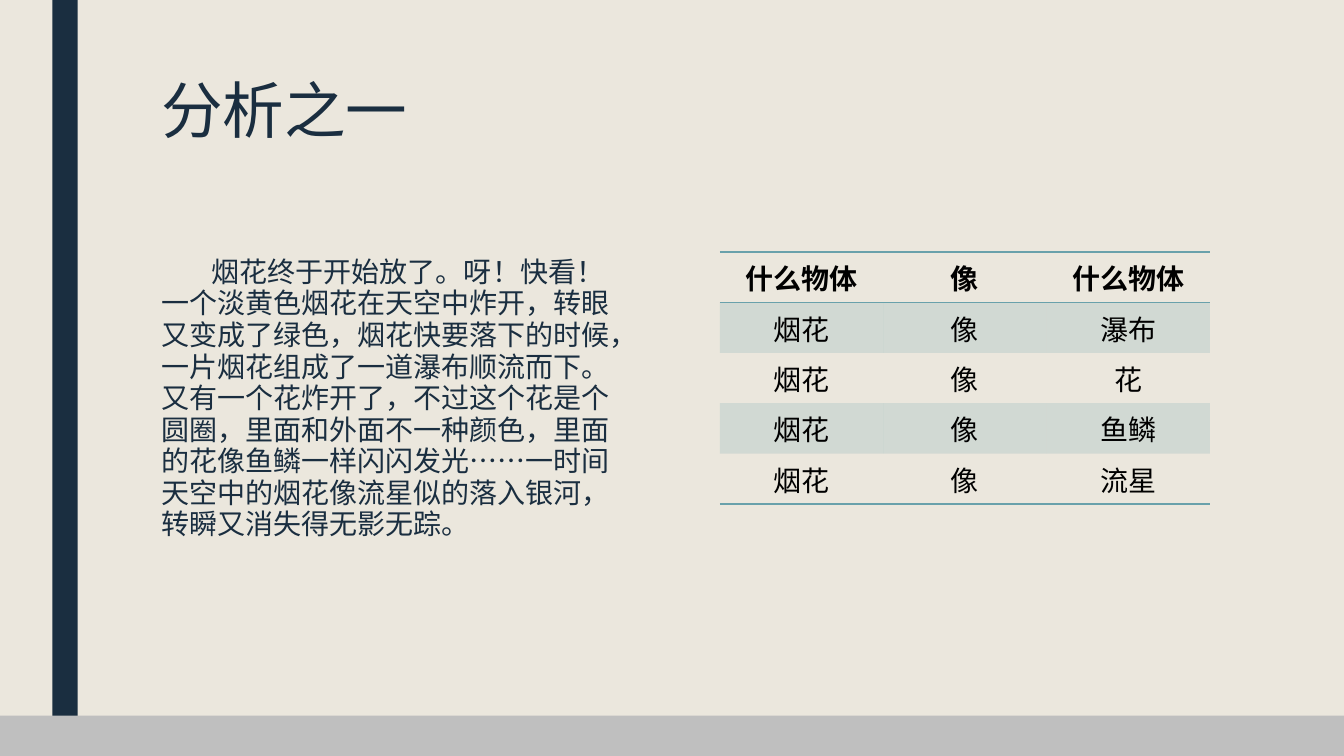
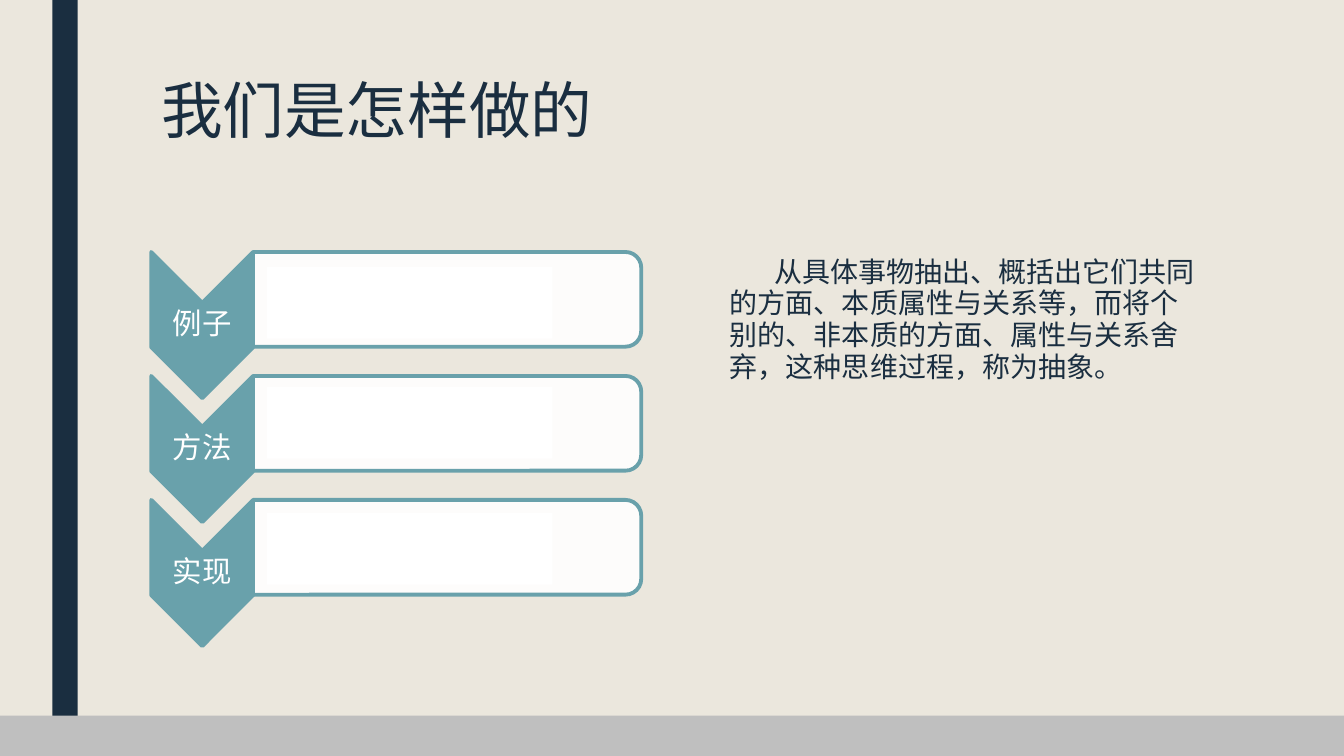
from dataclasses import dataclass

from lxml.etree import SubElement
from pptx import Presentation
from pptx.dml.color import RGBColor
from pptx.enum.lang import MSO_LANGUAGE_ID as Lang
from pptx.enum.shapes import MSO_SHAPE as Shape
from pptx.enum.text import MSO_ANCHOR as Anchor, PP_ALIGN as Align
from pptx.oxml.ns import qn
from pptx.util import Inches, Pt


@dataclass(frozen=True)
class Theme:
    paper: str = "EBE7DD"
    navy: str = "1A2E40"
    grey: str = "BFBFBF"
    teal: str = "69A1AB"
    white: str = "FFFFFF"
    black: str = "000000"
    head_font: str = "Roboto"
    body_font: str = "Arial"
    title_size: float = 44
    body_size: float = 20
    label_size: float = 21
    outline: float = 2.75
    rule: float = 1


THEME = Theme()
WIDTH, HEIGHT = 13.33, 7.5
LEFT_COLUMN = (1.5, 2.5, 4.86, 3.92)
RIGHT_COLUMN = (7.14, 2.5, 4.86, 3.92)
NO_STYLE_NO_GRID = "{2D5ABB26-0587-4C30-8999-92F81FD0307C}"

STORY = (
    "烟花终于开始放了。呀！快看！一个淡黄色烟花在天空中炸开，转眼又变成了绿色，"
    "烟花快要落下的时候，一片烟花组成了一道瀑布顺流而下。又有一个花炸开了，"
    "不过这个花是个圆圈，里面和外面不一种颜色，里面的花像鱼鳞一样闪闪发光……"
    "一时间天空中的烟花像流星似的落入银河，转瞬又消失得无影无踪。"
)
DEFINITION = (
    "从具体事物抽出、概括出它们共同的方面、本质属性与关系等，而将个别的、"
    "非本质的方面、属性与关系舍弃，这种思维过程，称为抽象。"
)
SIMILES = [("什么物体", "像", "什么物体")] + [
    ("烟花", "像", image) for image in ("瀑布", "花", "鱼鳞", "流星")
]
# Each step has a label and the distance of its white box below the step's top.
STEPS = [("例子", 0.15), ("方法", 0.11), ("实现", 0.13)]


def inches(*lengths):
    return [Inches(length) for length in lengths]


def rgb(color):
    return RGBColor.from_string(color)


def set_alpha(props, percent):
    color = props.find(qn("a:solidFill")).find(qn("a:srgbClr"))
    SubElement(color, qn("a:alpha"), val=str(percent * 1000))


def style_paragraph(p, font, size, color, bold=False):
    for r in p.runs:
        r.font.name = font
        r.font.size = Pt(size)
        r.font.bold = bold
        r.font.color.rgb = rgb(color)
        r.font.language_id = Lang.SIMPLIFIED_CHINESE


def add_shape(slide, kind, box, fill, line=None):
    sp = slide.shapes.add_shape(kind, *inches(*box))
    sp.shadow.inherit = False
    sp.fill.solid()
    sp.fill.fore_color.rgb = rgb(fill)
    if line:
        sp.line.color.rgb = rgb(line)
        sp.line.width = Pt(THEME.outline)
    else:
        sp.line.fill.background()
    return sp


def add_turned_shape(slide, kind, box, fill, line):
    """Add a shape turned clockwise by 90° that fills box as seen."""
    left, top, width, height = box
    shift = (width - height) / 2
    sp = add_shape(slide, kind, (left + shift, top - shift, height, width), fill, line)
    sp.rotation = 90
    return sp


def add_text(slide, box, text, font, size, color, spacing):
    tf = slide.shapes.add_textbox(*inches(*box)).text_frame
    tf.word_wrap = True
    tf.text = text
    p = tf.paragraphs[0]
    p.line_spacing = spacing
    style_paragraph(p, font, size, color)
    return tf


def add_base_slide(prs, title):
    slide = prs.slides.add_slide(prs.slide_layouts[6])
    slide.background.fill.solid()
    slide.background.fill.fore_color.rgb = rgb(THEME.paper)
    add_shape(slide, Shape.RECTANGLE, (0.52, 0, 0.25, HEIGHT), THEME.navy)
    add_shape(slide, Shape.RECTANGLE, (0, 7.1, WIDTH, 0.4), THEME.grey)
    add_text(slide, (1.5, 0.75, 10.5, 1.62), title,
             THEME.head_font, THEME.title_size, THEME.navy, 0.89)
    return slide


def add_body(slide, box, text, indent):
    tf = add_text(slide, box, text, THEME.body_font, THEME.body_size, THEME.navy, 0.94)
    p = tf.paragraphs[0]
    p.space_before, p.space_after = Pt(10), Pt(2)
    p._p.get_or_add_pPr().set("indent", str(Inches(indent)))


def set_borders(cell, sides):
    """Rule the named sides of a cell (T, B) and clear the others."""
    props = cell._tc.get_or_add_tcPr()
    for i, side in enumerate("LRTB"):
        ruled = side in sides
        ln = SubElement(props, qn(f"a:ln{side}"), w=str(Pt(THEME.rule) if ruled else 0))
        fill = SubElement(ln, qn("a:solidFill" if ruled else "a:noFill"))
        if ruled:
            SubElement(fill, qn("a:srgbClr"), val=THEME.teal)
        props.insert(i, ln)


def add_simile_table(slide, box, rows, row_height=0.5):
    left, top, width, _ = box
    n_rows, n_cols = len(rows), len(rows[0])
    frame = slide.shapes.add_table(
        n_rows, n_cols, *inches(left, top, width, row_height * n_rows))
    table = frame.table
    table._tbl.tblPr.find(qn("a:tableStyleId")).text = NO_STYLE_NO_GRID
    for i, row in enumerate(rows):
        sides = "TB" if i == 0 else "B" if i == n_rows - 1 else ""
        for j, text in enumerate(row):
            cell = table.cell(i, j)
            cell.text = text
            p = cell.text_frame.paragraphs[0]
            p.alignment = Align.CENTER
            style_paragraph(p, THEME.head_font, THEME.body_size, THEME.black, i == 0)
            if i % 2:
                cell.fill.solid()
                cell.fill.fore_color.rgb = rgb(THEME.teal)
                set_alpha(cell._tc.tcPr, 20)
            else:
                cell.fill.background()
            set_borders(cell, sides)


def add_step(slide, left, top, width, label):
    """Add a downward chevron with its label and the panel to its right."""
    arrow = 1.01
    add_turned_shape(slide, Shape.CHEVRON, (left, top, arrow, 1.45), THEME.teal, THEME.teal)
    tf = add_text(slide, (left, top + 0.51, arrow, 0.43), label,
                  THEME.head_font, THEME.label_size, THEME.white, 0.9)
    tf.vertical_anchor = Anchor.MIDDLE
    tf.margin_left = tf.margin_right = tf.margin_top = tf.margin_bottom = Inches(0.01)
    tf.paragraphs[0].alignment = Align.CENTER
    panel = add_turned_shape(slide, Shape.ROUND_2_SAME_RECTANGLE,
                             (left + arrow, top, width - arrow, 0.94),
                             THEME.white, THEME.teal)
    set_alpha(panel._element.spPr, 90)


def add_step_list(slide, box, steps, pitch=1.23):
    left, top, width, _ = box
    for i, (label, drop) in enumerate(steps):
        step_top = top + i * pitch
        add_step(slide, left, step_top, width, label)
        add_shape(slide, Shape.RECTANGLE,
                  (left + 1.15, step_top + drop, 2.83, 0.71), THEME.white)


def build_analysis_slide(prs):
    slide = add_base_slide(prs, "分析之一")
    add_body(slide, LEFT_COLUMN, STORY, 0.5)
    add_simile_table(slide, RIGHT_COLUMN, SIMILES)


def build_method_slide(prs):
    slide = add_base_slide(prs, "我们是怎样做的")
    add_step_list(slide, LEFT_COLUMN, STEPS)
    add_body(slide, RIGHT_COLUMN, DEFINITION, 0.44)


def main():
    prs = Presentation()
    prs.slide_width, prs.slide_height = inches(WIDTH, HEIGHT)
    build_analysis_slide(prs)
    build_method_slide(prs)
    prs.save("out.pptx")


if __name__ == "__main__":
    main()
